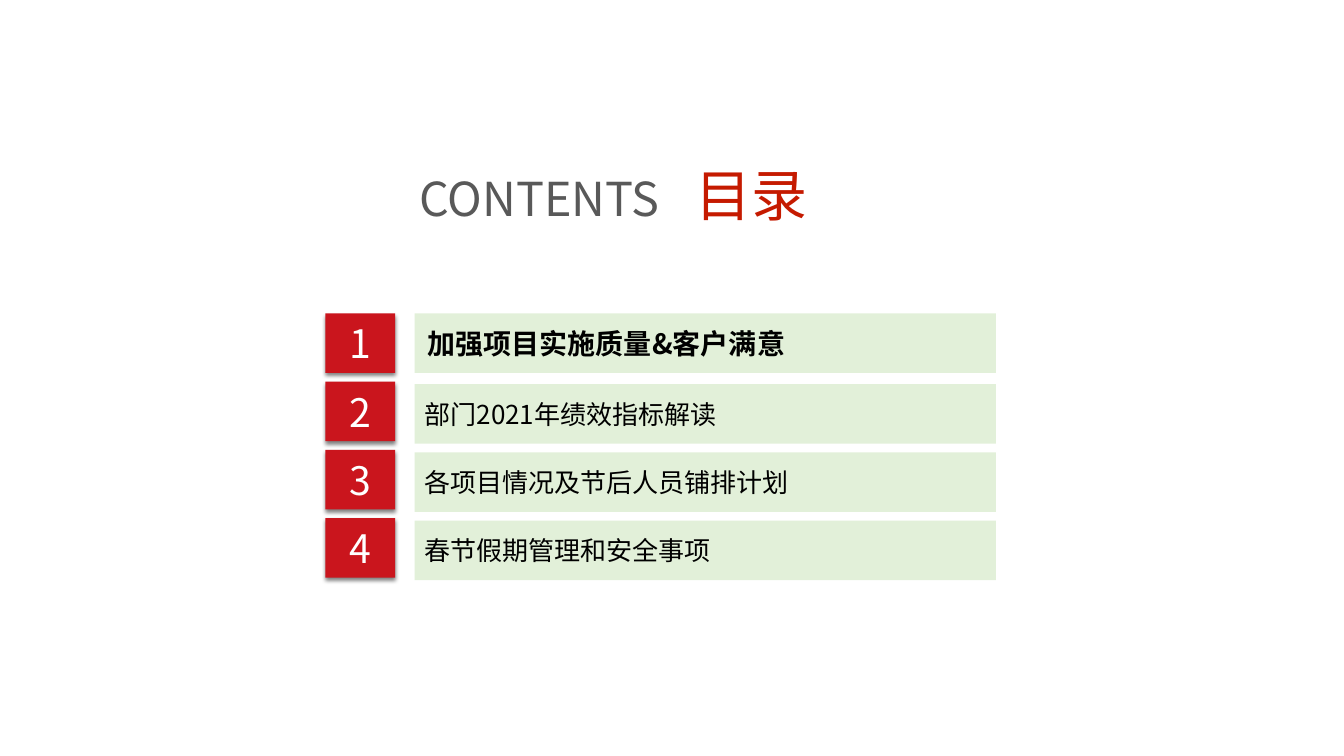
from lxml import etree
from pptx import Presentation
from pptx.dml.color import RGBColor
from pptx.enum.shapes import MSO_SHAPE
from pptx.enum.text import MSO_ANCHOR, PP_ALIGN
from pptx.oxml import parse_xml
from pptx.oxml.ns import nsdecls, qn
from pptx.util import Cm, Pt

RECTANGLE = MSO_SHAPE.RECTANGLE
MIDDLE = MSO_ANCHOR.MIDDLE
LEFT, CENTER = PP_ALIGN.LEFT, PP_ALIGN.CENTER

FONT = "Noto Sans CJK SC"
RED, GREEN, WHITE, BLACK = "CA151D", "E2F0D9", "FFFFFF", "000000"
GREY, TITLE_RED = "595959", "C51A00"

TOPICS = [
    "加强项目实施质量&客户满意",
    "部门2021年绩效指标解读",
    "各项目情况及节后人员铺排计划",
    "春节假期管理和安全事项",
]
FIRST_TOP, ROW_PITCH, ROW_HEIGHT = 7.9, 1.72, 1.5


def color(value):
    return RGBColor.from_string(value)


def style_span(span, size, text_color, bold=False):
    font = span.font
    font.size = Pt(size)
    font.bold = bold
    font.color.rgb = color(text_color)
    font.name = FONT
    east_asian = etree.SubElement(span._r.get_or_add_rPr(), qn("a:ea"))
    east_asian.set("typeface", FONT)


def set_margins(frame, left, other):
    frame.margin_left = Cm(left)
    frame.margin_top = frame.margin_right = frame.margin_bottom = Cm(other)


def add_shadow(shape):
    effects = shape._element.spPr.find(qn("a:effectLst"))
    effects.append(parse_xml(
        f'<a:outerShdw {nsdecls("a")} blurRad="{Pt(3)}" dist="{Pt(2)}" '
        'dir="5400000" algn="t" rotWithShape="0"><a:srgbClr val="000000">'
        '<a:alpha val="50000"/></a:srgbClr></a:outerShdw>'))


def add_block(page, left, top, width, fill, text, align, margins):
    block = page.shapes.add_shape(
        RECTANGLE, Cm(left), Cm(top), Cm(width), Cm(ROW_HEIGHT))
    block.shadow.inherit = False
    block.fill.solid()
    block.fill.fore_color.rgb = color(fill)
    block.line.fill.background()
    frame = block.text_frame
    frame.word_wrap = True
    frame.vertical_anchor = MIDDLE
    set_margins(frame, *margins)
    frame.text = text
    frame.paragraphs[0].alignment = align
    return block


def add_number(page, top, number):
    block = add_block(page, 8.2, top, 1.76, RED, str(number), CENTER, (0.1, 0.1))
    add_shadow(block)
    style_span(block.text_frame.paragraphs[0].runs[0], 28, WHITE)


def add_topic(page, top, topic, current):
    margins = (0.33, 0.1) if current else (0.25, 0.08)
    block = add_block(page, 10.45, top, 14.65, GREEN, topic, LEFT, margins)
    size = 20 if current else 18.6
    style_span(block.text_frame.paragraphs[0].runs[0], size, BLACK, current)


def add_title(page):
    box = page.shapes.add_textbox(Cm(10.52), Cm(3.99), Cm(10.21), Cm(1.83))
    frame = box.text_frame
    frame.word_wrap = True
    set_margins(frame, 0.05, 0.05)
    para = frame.paragraphs[0]
    tabs = etree.SubElement(para._p.get_or_add_pPr(), qn("a:tabLst"))
    etree.SubElement(tabs, qn("a:tab"), pos=str(Cm(6.95)), algn="l")
    for text, size, text_color in (
            ("CONTENTS", 33.4, GREY), ("\t目录", 40, TITLE_RED)):
        span = para.add_run()
        span.text = text
        style_span(span, size, text_color)


def main():
    deck = Presentation()
    deck.slide_width, deck.slide_height = Cm(33.87), Cm(19.05)
    page = deck.slides.add_slide(deck.slide_layouts[6])
    add_title(page)
    for index, topic in enumerate(TOPICS):
        top = FIRST_TOP + index * ROW_PITCH
        current = index == 0
        add_number(page, top, index + 1)
        add_topic(page, top if current else top + 0.06, topic, current)
    deck.save("out.pptx")


if __name__ == "__main__":
    main()
